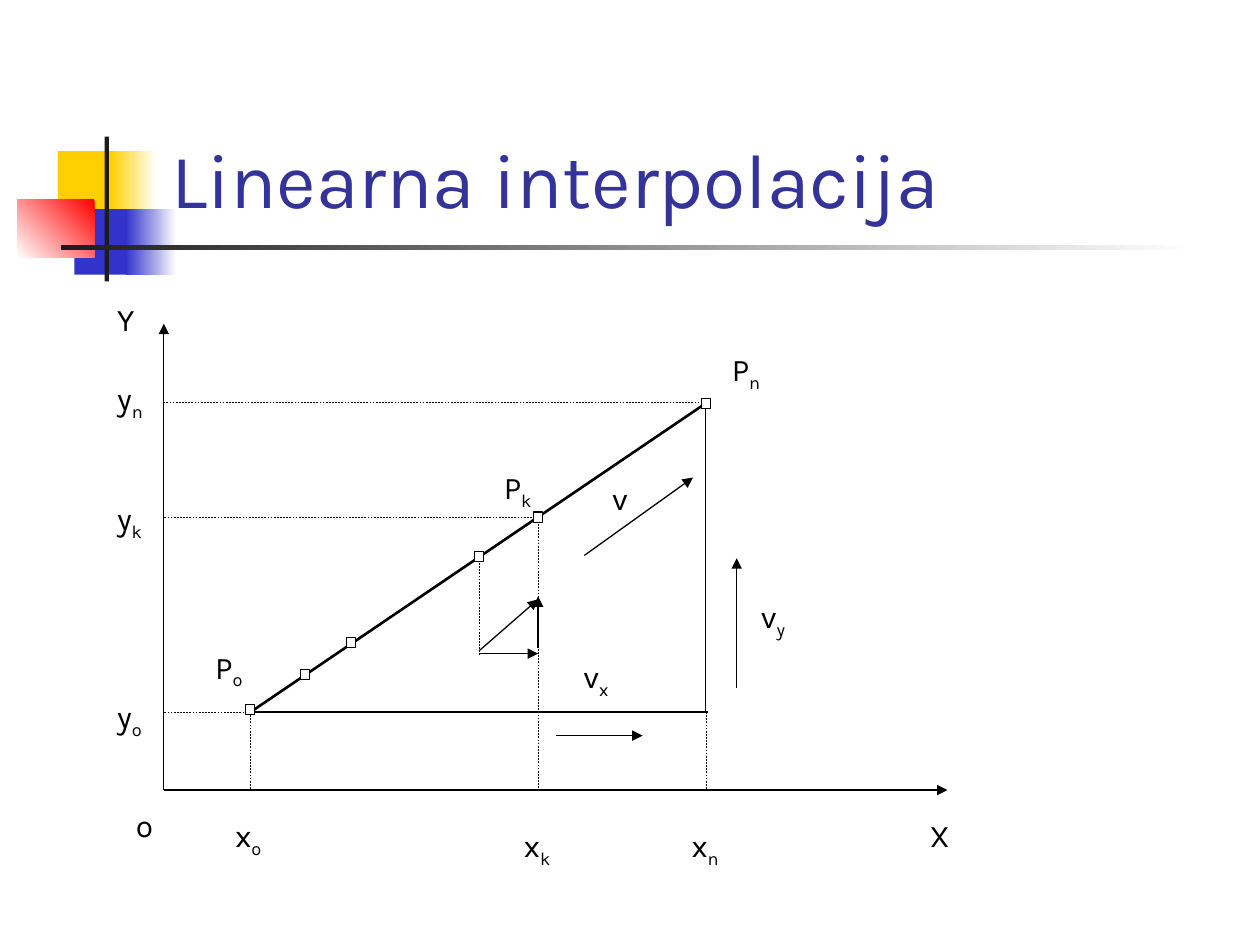
from pptx import Presentation
from pptx import util as u
from pptx.dml import color
from pptx.enum import dml, shapes, text
from pptx.oxml import ns
from lxml import etree

FONT = "Karla"
BLACK, WHITE, DARK, YELLOW, BLUE, RED = "000000", "FFFFFF", "1C1C1C", "FFCF01", "3333CC", "FF0000"

DECORATION = [
    ((33.1, 86.4, 34.6, 37.4), [YELLOW], 0),
    ((63.4, 86.4, 25.9, 37.4), [WHITE, YELLOW], 180),
    ((42.5, 119.5, 33.1, 37.4), [BLUE], 0),
    ((72, 119.5, 28.8, 37.4), [WHITE, BLUE], 180),
    ((9.8, 113.8, 44.2, 33.1), [RED, WHITE], 225),
    ((59.8, 78, 2.5, 82.8), [DARK], 0),
    ((34.8, 140.2, 648, 2.5), [WHITE, DARK], 180),
]

LEFT, BOTTOM = 93.6, 451.5
X_START, X_STEP, X_K, X_END = 143.2, 273.8, 307.5, 403.3
Y_START, Y_K, Y_END = 406.9, 295.8, 229.6

AXES = [((LEFT, BOTTOM), (541.4, BOTTOM)), ((LEFT, BOTTOM), (LEFT, 185))]
PATH = [((X_START, Y_START), (404.6, Y_END))]
TRIANGLE = [((X_START, Y_START), (404.6, Y_START)), ((X_END, Y_START), (X_END, Y_END))]
GUIDES = [
    ((X_START, Y_START), (X_START, BOTTOM)),
    ((X_K, Y_K), (X_K, BOTTOM)),
    ((X_END, Y_START), (X_END, BOTTOM)),
    ((X_START, Y_START), (LEFT, Y_START)),
    ((X_K, Y_K), (LEFT, Y_K)),
    ((X_END, Y_END), (LEFT, Y_END)),
    ((X_STEP, 318.2), (X_STEP, 374.4)),
]
VELOCITIES = [
    ((317.5, 420.4), (367.2, 420.4)),
    ((421, 393), (421, 319)),
    ((333.9, 317.4), (396, 272.9)),
    ((X_STEP, 373.5), (X_K, 373.5)),
    ((X_K, 370.2), (X_K, 340.8)),
    ((X_STEP, 371.9), (X_K, 342.5)),
]
LINES = [
    (AXES, 0.75, "arrow"), (PATH, 1.5, "plain"), (TRIANGLE, 0.75, "plain"),
    (GUIDES, 0.25, "dashed"), (VELOCITIES, 0.75, "arrow"),
]

MARKER = 5.2, 5.8
POINTS = [(143, 405.4), (174.3, 385.3), (200.5, 367.2),
          (X_STEP, 318), (X_K, 295.5), (X_END, 230.6)]

LABELS = [
    ("o", "", 70.6, 457.2, 25.2), ("x", "o", 127.4, 463, 30.2),
    ("x", "k", 292.3, 468.7, 29.5), ("x", "n", 388.1, 468.7, 30.2),
    ("P", "o", 115.9, 366.5, 31.7), ("P", "k", 280.8, 264.2, 31),
    ("P", "n", 411.1, 196.6, 31.7), ("y", "o", 59.8, 394.6, 29.5),
    ("y", "k", 59.8, 281.5, 28.8), ("y", "n", 59.8, 213.1, 29.5),
    ("X", "", 524.2, 463, 24.5), ("Y", "", 59.8, 167.8, 24.5),
    ("v", "y", 427.7, 337.7, 45.4), ("v", "x", 326.2, 372.2, 39.6),
    ("v", "", 342.7, 270, 23),
]


def rgb(value):
    return color.RGBColor.from_string(value)


def apply(target, values):
    for name, value in values.items():
        setattr(target, name, value)


def points(*values):
    return [u.Pt(value) for value in values]


def add_rectangle(page, frame, colours, angle=0):
    box = page.shapes.add_shape(shapes.MSO_SHAPE.RECTANGLE, *points(*frame))
    box.shadow.inherit = False
    box.line.fill.background()
    if len(colours) == 1:
        box.fill.solid()
        box.fill.fore_color.rgb = rgb(colours[0])
    else:
        box.fill.gradient()
        box.fill.gradient_angle = angle
        for stop, value in zip(box.fill.gradient_stops, colours):
            stop.color.rgb = rgb(value)
    return box


def add_line(page, start, end, width, style):
    line = page.shapes.add_connector(shapes.MSO_CONNECTOR.STRAIGHT, *points(*start, *end))
    line.line.color.rgb = rgb(BLACK)
    line.line.width = u.Pt(width)
    if style == "dashed":
        line.line.dash_style = dml.MSO_LINE.DASH
    properties = line._element.spPr
    if style == "arrow":
        etree.SubElement(properties.find(ns.qn("a:ln")), ns.qn("a:tailEnd"), type="triangle")
    etree.SubElement(properties, ns.qn("a:effectLst"))


def add_marker(page, x, y):
    width, height = MARKER
    box = add_rectangle(page, (x - width / 2, y - height / 2, width, height), [WHITE])
    box.line.color.rgb = rgb(BLACK)
    box.line.width = u.Pt(0.75)


def add_span(para, content, size, colour):
    span = para.add_run()
    span.text = content
    apply(span.font, {"name": FONT, "size": u.Pt(size)})
    span.font.color.rgb = rgb(colour)
    return span


def add_label(page, name, index, left, top, width):
    box = page.shapes.add_textbox(*points(left, top, width, 31.7 if index else 28.8))
    apply(box.text_frame, {
        "word_wrap": name == "v" and bool(index),
        "auto_size": text.MSO_AUTO_SIZE.SHAPE_TO_FIT_TEXT,
    })
    para = box.text_frame.paragraphs[0]
    add_span(para, name, 18, BLACK)
    if index:
        span = add_span(para, index, 18, BLACK)
        span._r.get_or_add_rPr().set("baseline", "-25000")


def add_title(page, content):
    title = page.shapes.title
    apply(title, dict(zip(("left", "top", "width", "height"), points(90.7, 16.6, 613.4, 115.2))))
    apply(title.text_frame, {
        "vertical_anchor": text.MSO_ANCHOR.BOTTOM,
        "word_wrap": True,
        "auto_size": text.MSO_AUTO_SIZE.NONE,
    })
    para = title.text_frame.paragraphs[0]
    para.alignment = text.PP_ALIGN.LEFT
    add_span(para, content, 44, "333399")


def main():
    deck = Presentation()
    apply(deck, {"slide_width": u.Pt(720), "slide_height": u.Pt(540)})
    page = deck.slides.add_slide(deck.slide_layouts[5])
    for frame, colours, angle in DECORATION:
        add_rectangle(page, frame, colours, angle)
    add_title(page, "Linearna interpolacija")
    for group, width, style in LINES:
        for start, end in group:
            add_line(page, start, end, width, style)
    for x, y in POINTS:
        add_marker(page, x, y)
    for label in LABELS:
        add_label(page, *label)
    deck.save("out.pptx")


if __name__ == "__main__":
    main()
